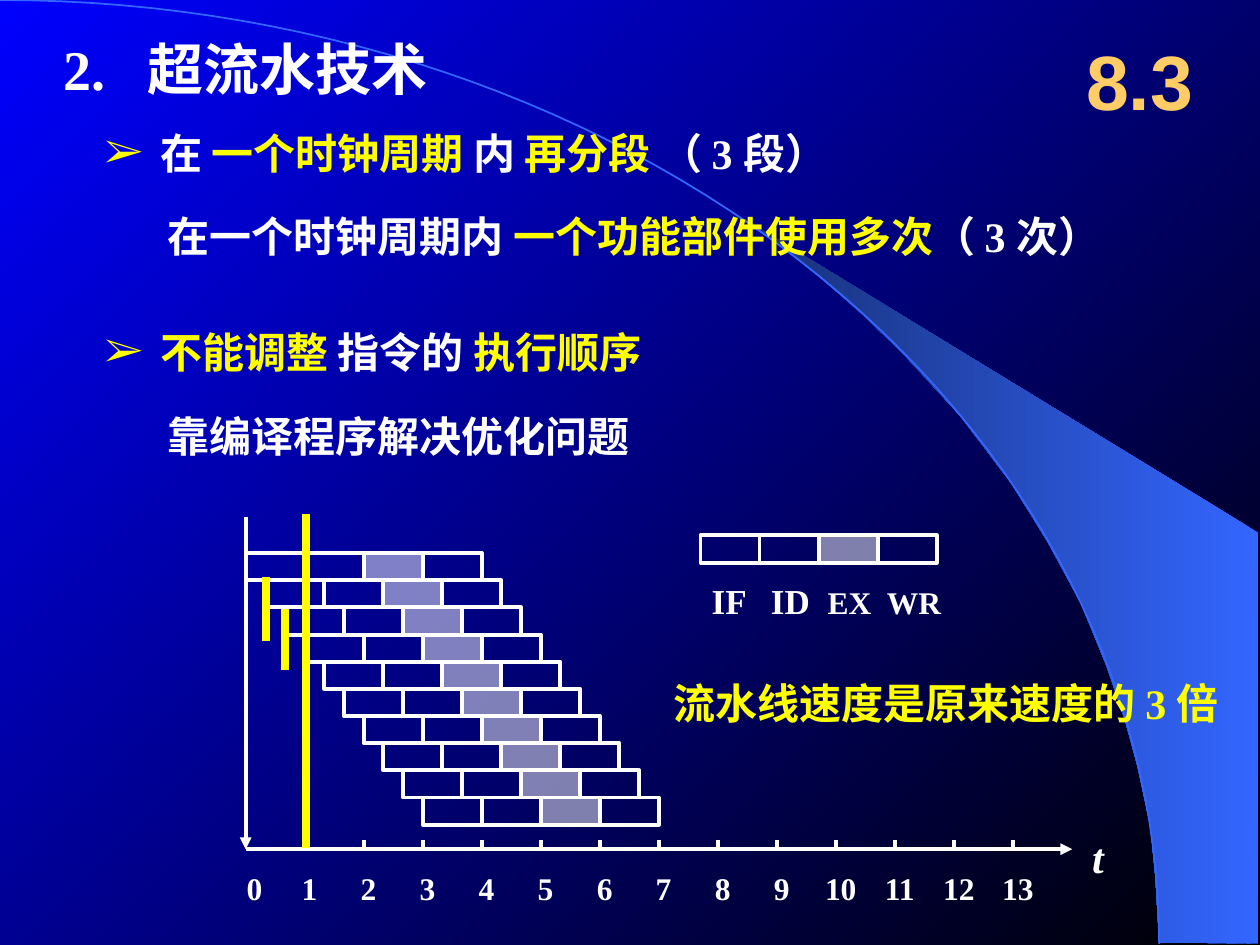
"""Build the slide on superpipelining with its timing diagram."""
from math import cos, pi, sin

from pptx import Presentation
from pptx.dml.color import RGBColor as RGB
from pptx.enum.shapes import MSO_CONNECTOR as LINK, MSO_SHAPE as SHAPE
from pptx.enum.text import MSO_ANCHOR as ANCHOR, PP_ALIGN as ALIGN
from pptx.oxml.ns import qn
from pptx.util import Inches, Pt
from lxml.etree import SubElement as Sub

WHITE = RGB(0xFF, 0xFF, 0xFF)
YELLOW = RGB(0xFF, 0xFF, 0x00)
ORANGE = RGB(0xFF, 0xCC, 0x66)
BLACK = RGB(0x00, 0x00, 0x00)
BLUE = RGB(0x00, 0x00, 0xFF)
SKY = RGB(0x33, 0x66, 0xFF)
NAVY = RGB(0x17, 0x2F, 0x75)

LEFT, BASE = 1.95, 6.74
CELL = 6.09 / 13
HIGH = 1.94 / 9
SWOOSH = [
    (9.2, 7.48), (9.99, 7.49), (9.99, 4.23), (5.89, 1.73), (6.24, 1.99),
    (6.53, 2.22), (6.85, 2.5), (7.16, 2.8), (7.62, 3.3), (8.03, 3.84),
    (8.32, 4.31), (8.58, 4.79), (8.78, 5.28), (8.93, 5.72), (9.03, 6.09),
    (9.13, 6.56), (9.17, 6.96), (9.2, 7.48),
]
ARC = [(9.2 * sin(n * pi / 120), 7.49 - 7.49 * cos(n * pi / 120)) for n in range(61)]


class Deck:
    """Hold the style and the current slide."""

    def __init__(self, slide):
        self.slide = slide
        self.shapes = slide.shapes
        self.font = "Times New Roman"

    def blend(self, fill, angle, *colors):
        """Fill with an even gradient."""
        fill.gradient()
        fill.gradient_angle = angle
        for stop, color in zip(fill.gradient_stops, colors):
            stop.color.rgb = color

    def curve(self, points, closed=False):
        """Draw an outline through the points."""
        spots = [(Inches(x), Inches(y)) for x, y in points]
        pen = self.shapes.build_freeform(*spots[0])
        pen.add_line_segments(spots[1:], close=closed)
        shape = pen.convert_to_shape()
        shape.shadow.inherit = False
        return shape

    def text(self, box, runs, size=24, inset=0.1, anchor=ANCHOR.TOP, align=ALIGN.LEFT,
             bullet=None, tabs=(), tab="l", font=None, italic=False):
        """Add a line of text from (words, color[, size]) runs."""
        frame = self.shapes.add_textbox(*map(Inches, box)).text_frame
        frame.word_wrap = True
        frame.vertical_anchor = anchor
        frame.margin_left = frame.margin_right = Inches(inset)
        para = frame.paragraphs[0]
        para.alignment = align
        props = para._p.get_or_add_pPr()
        if bullet:
            props.set("marL", str(Inches(0.44)))
            props.set("indent", str(-Inches(0.44)))
            Sub(Sub(props, qn("a:buClr")), qn("a:srgbClr"), val=str(YELLOW))
            Sub(props, qn("a:buFont"), typeface=self.font)
            Sub(props, qn("a:buChar"), char=bullet)
        if tabs:
            stops = Sub(props, qn("a:tabLst"))
            for pos in tabs:
                Sub(stops, qn("a:tab"), pos=str(Inches(pos)), algn=tab)
        for words, color, *own in runs:
            run = para.add_run()
            run.text = words
            run.font.name = font or self.font
            run.font.size = Pt(own[0] if own else size)
            run.font.bold = True
            run.font.italic = italic
            run.font.color.rgb = color

    def line(self, start, end, color=WHITE, width=2.25, arrow=False):
        """Draw a straight line or arrow."""
        link = self.shapes.add_connector(LINK.STRAIGHT, *map(Inches, start + end))
        link.line.color.rgb = color
        link.line.width = Pt(width)
        if arrow:
            Sub(link.line._get_or_add_ln(), qn("a:tailEnd"), type="triangle")
        Sub(link._element.spPr, qn("a:effectLst"))

    def stages(self, left, top):
        """Draw the four stages of an instruction, the third one tinted."""
        for n in range(4):
            box = (left + n * CELL, top, CELL, HIGH)
            cell = self.shapes.add_shape(SHAPE.RECTANGLE, *map(Inches, box))
            cell.shadow.inherit = False
            cell.line.color.rgb = WHITE
            cell.line.width = Pt(2.25)
            if n == 2:
                cell.fill.solid()
                cell.fill.fore_color.rgb = WHITE
                tint = cell._element.spPr.find(".//" + qn("a:srgbClr"))
                Sub(tint, qn("a:alpha"), val="50000")
            else:
                cell.fill.background()


def main():
    """Build and save the slide."""
    show = Presentation()
    show.slide_width, show.slide_height = Inches(10), Inches(7.5)
    deck = Deck(show.slides.add_slide(show.slide_layouts[6]))

    deck.blend(deck.slide.background.fill, 135, BLACK, BLUE)
    swoosh = deck.curve(SWOOSH, closed=True)
    deck.blend(swoosh.fill, 180, SKY, NAVY)
    swoosh.line.fill.background()
    arc = deck.curve(ARC)
    arc.fill.background()
    arc.line.color.rgb = SKY
    arc.line.width = Pt(1)

    head = dict(inset=0, anchor=ANCHOR.MIDDLE)
    deck.text((0.5, 0.25, 4.42, 0.58), [("2.\t超流水技术", WHITE)], 32, tabs=[0.67], **head)
    deck.text((0.83, 0.92, 6.58, 0.58), [
        ("在 ", WHITE), ("一个时钟周期 ", YELLOW), ("内 ", WHITE),
        ("再分段", YELLOW), (" （ 3 段）", WHITE)], bullet="➢", **head)
    deck.text((0.83, 2.5, 4.92, 0.58), [
        ("不能调整 ", YELLOW), ("指令的 ", WHITE), ("执行顺序", YELLOW)], bullet="➢", **head)
    deck.text((1.33, 1.58, 8, 0.58), [
        ("在一个时钟周期内 ", WHITE), ("一个功能部件使用多次", YELLOW),
        ("（ 3 次）", WHITE)], **head)
    deck.text((1.33, 3.17, 4.75, 0.58), [("靠编译程序解决优化问题", WHITE)], **head)
    deck.text((5.25, 5.33, 4.75, 0.5), [("流水线速度是原来速度的 3 倍", YELLOW)])

    for row in range(10):
        deck.stages(LEFT + row * CELL / 3, 4.39 + row * HIGH)
    deck.stages(5.56, 4.25)
    deck.text((5.55, 4.55, 2.04, 0.44), [("IF\tID\t", WHITE, 20), ("EX\tWR", WHITE, 18)],
              tabs=[0.47, 0.92, 1.39])

    deck.line((LEFT, 4.1), (LEFT, BASE), arrow=True)
    deck.line((LEFT, BASE), (8.51, BASE), arrow=True)
    for n in range(1, 14):
        deck.line((LEFT + n * CELL, 6.67), (LEFT + n * CELL, BASE))
    deck.text((1.86, 6.85, 7, 0.4), [("\t".join(map(str, range(14))), WHITE)], 18,
              tabs=[0.03 + n * CELL for n in range(1, 14)], tab="ctr")
    deck.text((8.57, 6.55, 0.4, 0.5), [("t", WHITE)], italic=True)

    for start, end in [((2.43, 4.08), (2.43, 6.73)), ((2.11, 4.58), (2.11, 5.09)),
                       ((2.26, 4.83), (2.26, 5.32))]:
        deck.line(start, end, YELLOW, 4.5)
    deck.text((8.42, 0.17, 1.25, 0.92), [("8.3", ORANGE)], 44, anchor=ANCHOR.MIDDLE,
              align=ALIGN.CENTER, font="Arial")

    show.save("out.pptx")


if __name__ == "__main__":
    main()
